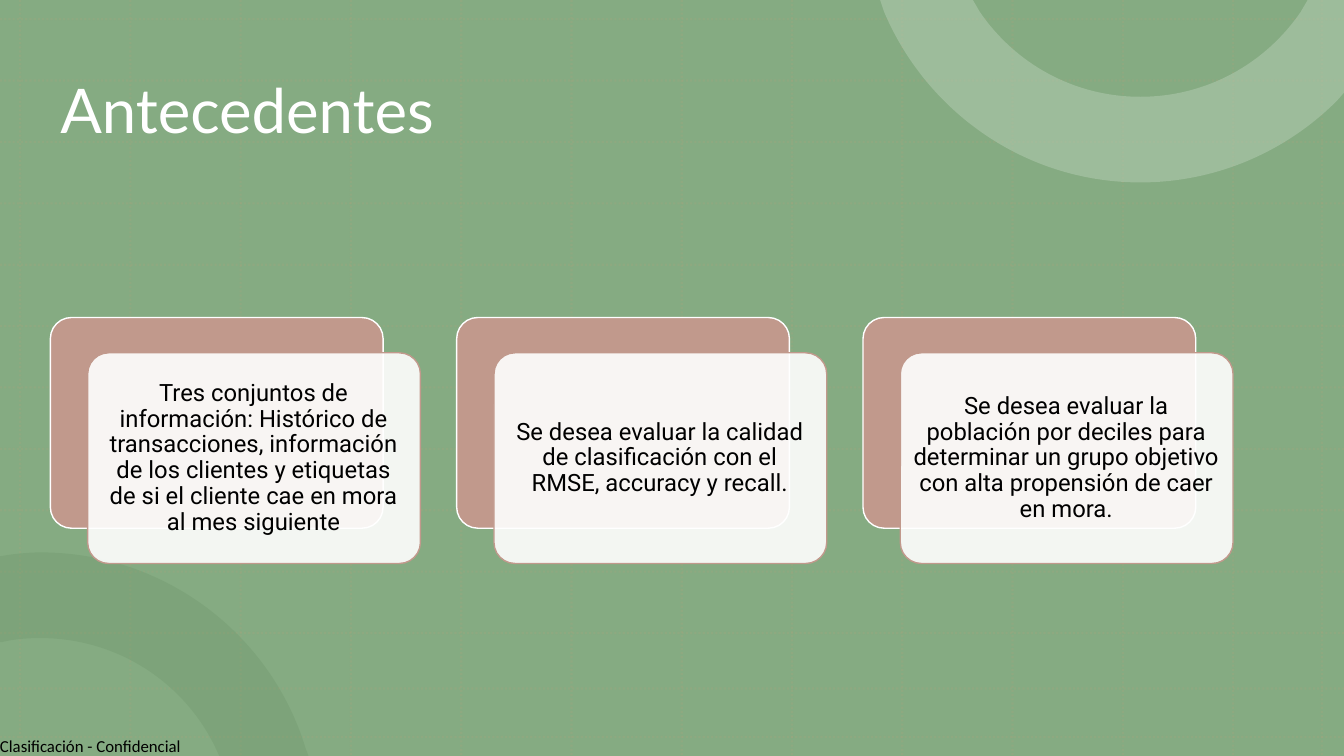
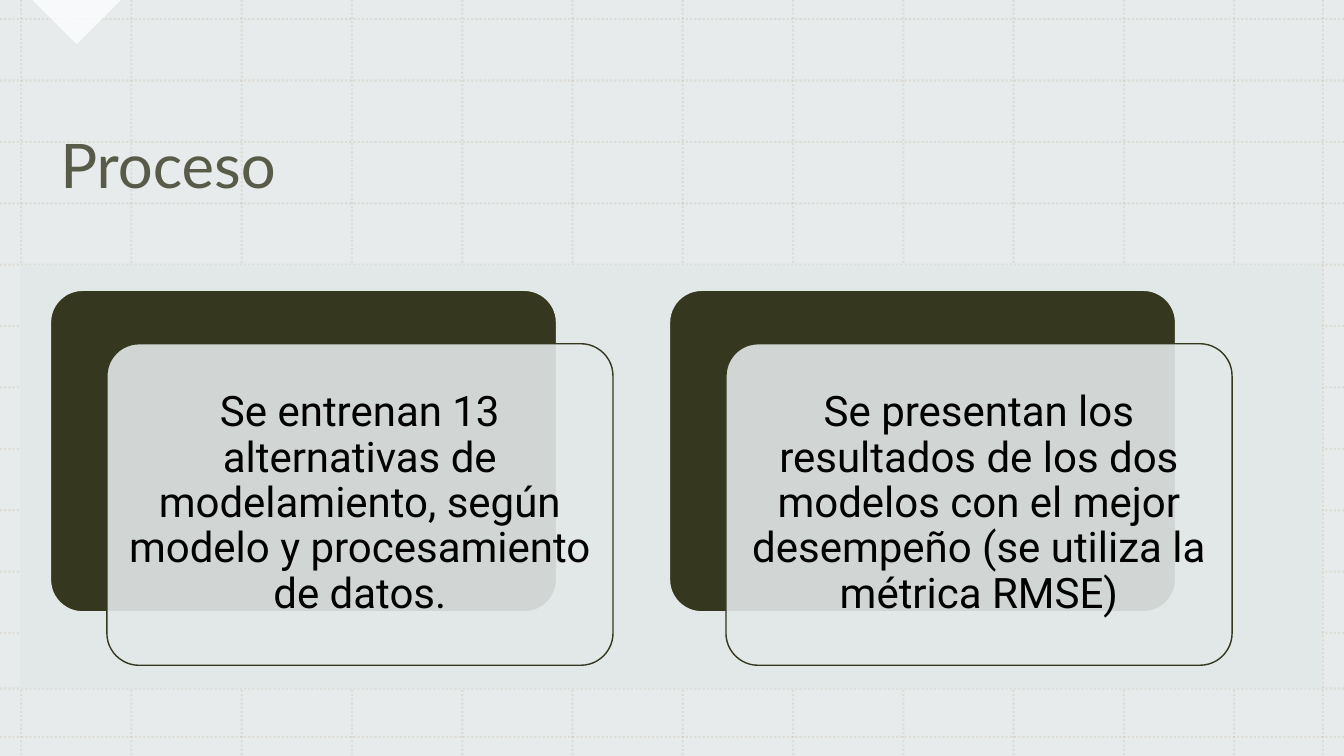
from lxml.etree import SubElement
from pptx import Presentation
from pptx.dml.color import RGBColor
from pptx.enum.dml import MSO_LINE
from pptx.enum.shapes import MSO_CONNECTOR, MSO_SHAPE
from pptx.enum.text import MSO_ANCHOR, PP_ALIGN
from pptx.oxml.ns import qn
from pptx.util import Inches, Pt

WIDTH, HEIGHT = 13.33, 7.5

LOWER_RING = [
    (0.4, 5.48), (1.64, 5.48, 2.69, 6.3, 3.03, 7.42), (3.06, 7.5), (2.17, 7.5),
    (2.17, 7.49), (1.88, 6.81, 1.2, 6.33, 0.4, 6.33),
    (0.27, 6.33, 0.14, 6.34, 0.02, 6.37), (-0.01, 6.37), (-0.01, 5.52),
    (0.12, 5.5), (0.21, 5.49, 0.31, 5.48, 0.4, 5.48)]
UPPER_RING = [
    (8.73, 0), (9.65, 0), (9.72, 0.12), (10.07, 0.63, 10.65, 0.96, 11.31, 0.96),
    (11.97, 0.96, 12.55, 0.63, 12.9, 0.12), (12.97, 0), (13.33, 0), (13.33, 0.92),
    (13.26, 1), (12.76, 1.5, 12.07, 1.81, 11.31, 1.81),
    (10.17, 1.81, 9.19, 1.11, 8.77, 0.12)]


def color(hex_code):
    return RGBColor.from_string(hex_code)


def fade(element, opacity):
    if opacity < 100:
        for tint in list(element.iter(qn("a:srgbClr"))):
            SubElement(tint, qn("a:alpha"), val=str(opacity * 1000))


def write(frame, text, *, size, font, ink, opacity=100, align=PP_ALIGN.LEFT,
          anchor=MSO_ANCHOR.MIDDLE, inset=(0.1, 0.05), spacing=0.9, wrap=True):
    frame.word_wrap = wrap
    frame.vertical_anchor = anchor
    frame.margin_left = frame.margin_right = Inches(inset[0])
    frame.margin_top = frame.margin_bottom = Inches(inset[1])
    para = frame.paragraphs[0]
    para.alignment = align
    para.line_spacing = spacing
    span = para.add_run()
    span.text = text
    span.font.size = Pt(size)
    span.font.name = font
    span.font.color.rgb = color(ink)
    fade(para._p, opacity)


class Deck:
    TITLE_FONT, BODY_FONT, FOOTER_FONT = "Lato", "Roboto", "Calibri"
    WHITE, BLACK, GREEN, MIST = "FFFFFF", "000000", "85AB82", "E2E7E8"
    OLIVE, ROSE, SAND, LEAF, MINT = "35371F", "C1998C", "B5A17B", "5E875B", "B6CDB4"

    def __init__(self):
        self.deck = Presentation()
        self.deck.slide_width = Inches(WIDTH)
        self.deck.slide_height = Inches(HEIGHT)
        self.page = None

    def new_page(self, base, opacity=100, grid_left=0.2):
        self.page = self.deck.slides.add_slide(self.deck.slide_layouts[6])
        self.shape(MSO_SHAPE.RECTANGLE, 0, 0, WIDTH, HEIGHT, base, opacity=opacity)
        self.grid(grid_left)

    def paint(self, shape, fill, opacity=100, line=None):
        shape.shadow.inherit = False
        shape.fill.solid()
        shape.fill.fore_color.rgb = color(fill)
        fade(shape.element, opacity)
        if line:
            shape.line.color.rgb = color(line)
            shape.line.width = Pt(1)
        else:
            shape.line.fill.background()
        return shape

    def shape(self, kind, left, top, width, height, fill, **look):
        shape = self.page.shapes.add_shape(
            kind, Inches(left), Inches(top), Inches(width), Inches(height))
        return self.paint(shape, fill, **look)

    def dotted_line(self, x1, y1, x2, y2):
        line = self.page.shapes.add_connector(
            MSO_CONNECTOR.STRAIGHT, Inches(x1), Inches(y1), Inches(x2), Inches(y2))
        line.line.color.rgb = color(self.SAND)
        line.line.width = Pt(1.5)
        line.line.dash_style = MSO_LINE.ROUND_DOT
        fade(line.element, 20)
        SubElement(line.element.spPr, qn("a:effectLst"))

    def grid(self, left):
        for x in [left + 12.03 * i / 11 for i in range(12)] + [left + 12.91]:
            self.dotted_line(x, 0, x, HEIGHT)
        for y in [0.19 + 6.09 * i / 10 for i in range(11)] + [6.83, 7.31]:
            self.dotted_line(0, y, WIDTH, y)

    def outline(self, steps, fill, opacity):
        points = [(Inches(x), Inches(y)) for step in steps
                  for x, y in zip(step[::2], step[1::2])]
        builder = self.page.shapes.build_freeform(*points[0])
        builder.add_line_segments(points[1:], close=True)
        shape = self.paint(builder.convert_to_shape(), fill, opacity)
        segments = iter(list(shape.element.iter(qn("a:lnTo"))))
        for step in steps[1:]:
            first = next(segments)
            if len(step) == 6:
                first.tag = qn("a:cubicBezTo")
                for _ in range(2):
                    extra = next(segments)
                    first.append(extra[0])
                    extra.getparent().remove(extra)

    def text(self, left, top, width, height, text, **style):
        box = self.page.shapes.add_textbox(
            Inches(left), Inches(top), Inches(width), Inches(height))
        write(box.text_frame, text, **style)

    def title(self, text, top, height, ink, opacity=100):
        self.text(0.5, top, 11.73, height, text, size=44,
                  font=self.TITLE_FONT, ink=ink, opacity=opacity)

    def footer(self, text):
        self.text(0, 7.3, 1.84, 0.2, text, size=12, font=self.FOOTER_FONT,
                  ink=self.BLACK, anchor=MSO_ANCHOR.TOP, inset=(0, 0),
                  spacing=1, wrap=False)

    def cards(self, texts, *, top, width, height, pitch, shift, dark, light,
              size, inset, text_shift, text_size):
        for i, text in enumerate(texts):
            left = 0.5 + i * pitch
            front_left, front_top = left + shift[0], top + shift[1]
            back = self.shape(MSO_SHAPE.ROUNDED_RECTANGLE, left, top,
                              width, height, dark, line=light)
            front = self.shape(MSO_SHAPE.ROUNDED_RECTANGLE, front_left, front_top,
                               width, height, light, opacity=90, line=dark)
            back.adjustments[0] = front.adjustments[0] = 0.1
            self.text(front_left + text_shift, front_top + text_shift, *text_size,
                      text, size=size, font=self.BODY_FONT, ink=self.BLACK,
                      align=PP_ALIGN.CENTER, inset=(inset, inset))


def background_page(deck):
    deck.new_page(deck.GREEN)
    deck.outline(LOWER_RING, deck.LEAF, 20)
    deck.outline(UPPER_RING, deck.MINT, 50)
    deck.footer("Clasificación - Confidencial")
    deck.title("Antecedentes", 0.4, 1.45, deck.WHITE)
    deck.cards(
        ["Tres conjuntos de información: Histórico de transacciones, información "
         "de los clientes y etiquetas de si el cliente cae en mora al mes siguiente",
         "Se desea evaluar la calidad de clasificación con el RMSE, accuracy y recall.",
         "Se desea evaluar la población por deciles para determinar un grupo "
         "objetivo con alta propensión de caer en mora."],
        top=3.15, width=3.3, height=2.09, pitch=4.03, shift=(0.37, 0.35),
        dark=deck.ROSE, light=deck.WHITE, size=17, inset=0.07,
        text_shift=0.06, text_size=(3.17, 1.97))


def process_page(deck):
    deck.new_page(deck.MIST, opacity=80, grid_left=0.21)
    corner = deck.shape(MSO_SHAPE.RIGHT_TRIANGLE, 0.45, -0.31, 0.62, 0.62,
                        deck.WHITE, opacity=75)
    corner.rotation = 315
    deck.title("Proceso", 0.79, 1.76, deck.OLIVE, opacity=80)
    deck.shape(MSO_SHAPE.RECTANGLE, 0.2, 2.63, 12.91, 4.2, deck.MIST)
    deck.cards(
        ["Se entrenan 13 alternativas de modelamiento, según modelo y "
         "procesamiento de datos.",
         "Se presentan los resultados de los dos modelos con el mejor desempeño "
         "(se utiliza la métrica RMSE)"],
        top=2.88, width=5.02, height=3.19, pitch=6.14, shift=(0.56, 0.53),
        dark=deck.OLIVE, light=deck.MIST, size=30, inset=0.12,
        text_shift=0.09, text_size=(4.84, 3))


def main():
    deck = Deck()
    background_page(deck)
    process_page(deck)
    deck.deck.save("out.pptx")


if __name__ == "__main__":
    main()
